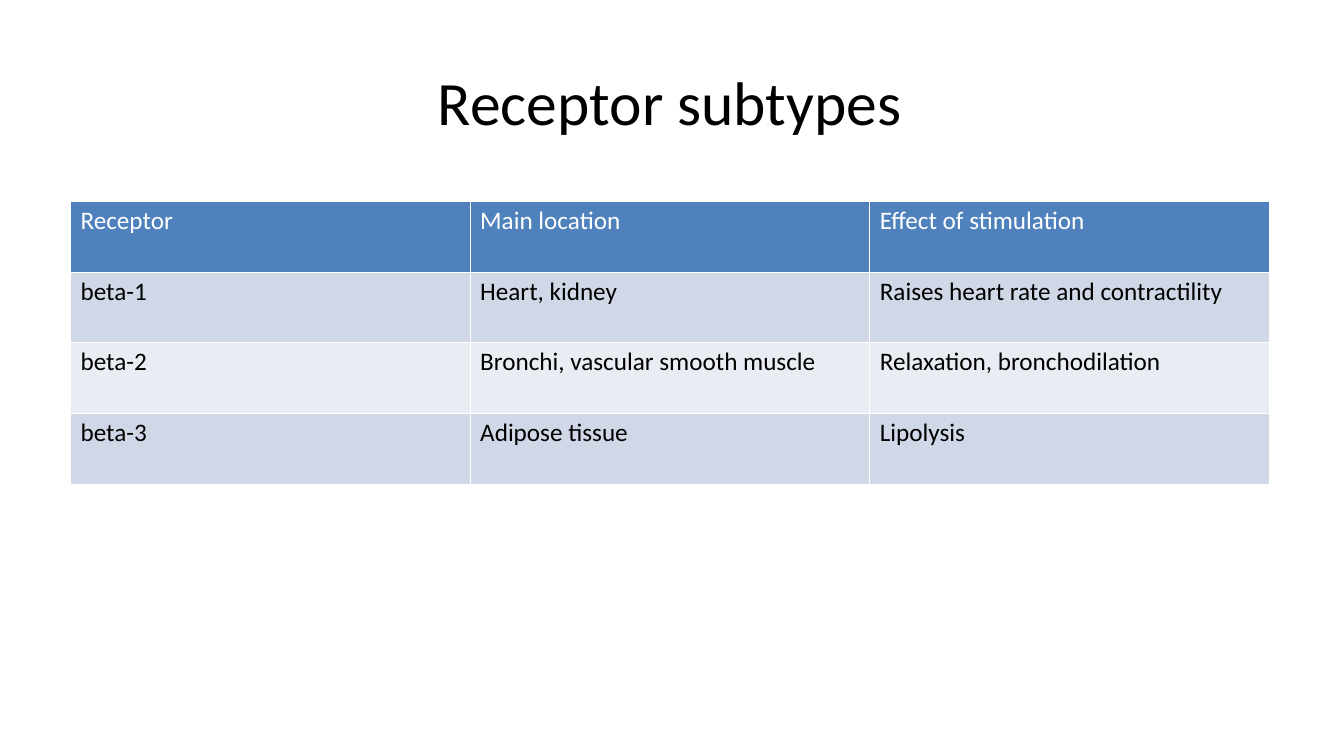
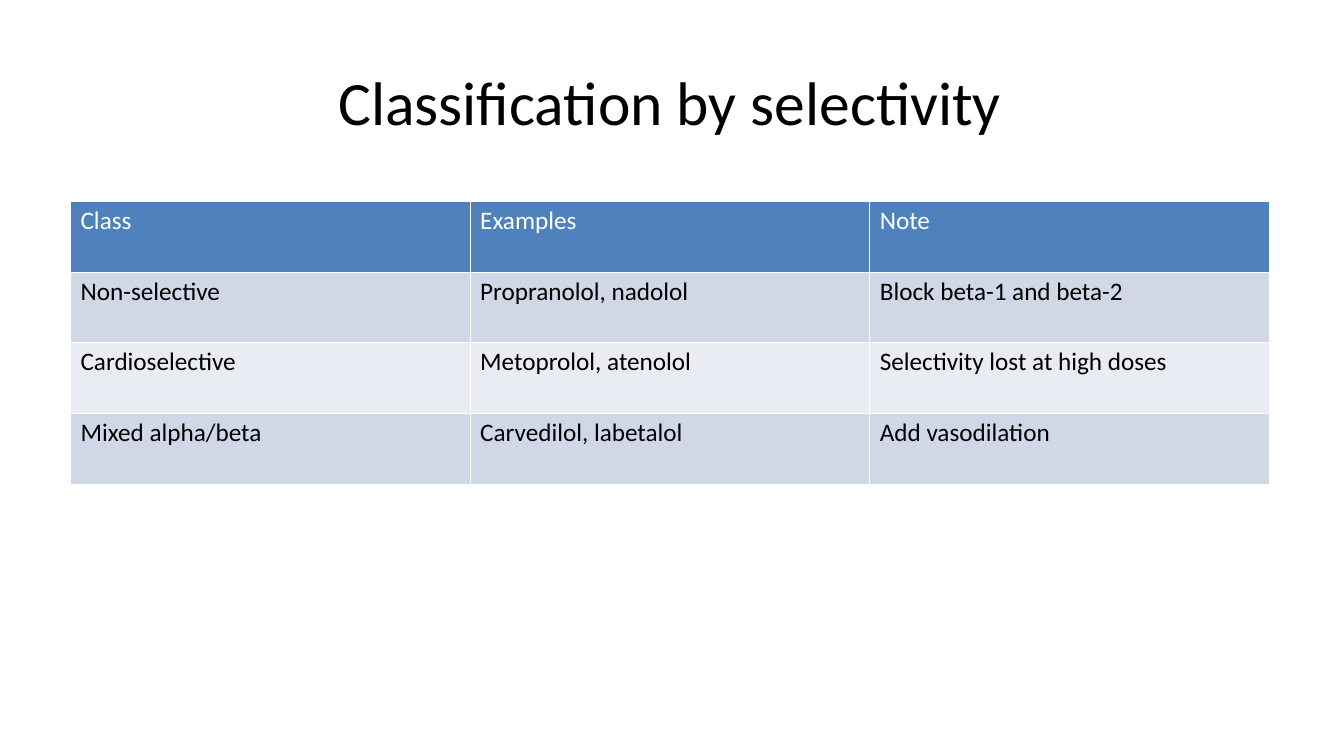
from lxml import etree
from pptx import Presentation
from pptx.dml.color import RGBColor
from pptx.enum.text import MSO_ANCHOR, PP_ALIGN
from pptx.oxml.ns import qn
from pptx.util import Inches, Pt

LEFT, CENTER = PP_ALIGN.LEFT, PP_ALIGN.CENTER
MIDDLE = MSO_ANCHOR.MIDDLE

FONT = "Calibri"
BLACK, WHITE = "000000", "FFFFFF"
HEADER_FILL = "4F81BD"
BAND_FILLS = ("E9ECF3", "D0D8E7")
BORDER_WIDTH = Pt(0.45)

SLIDE_WIDTH, SLIDE_HEIGHT = Inches(13.34), Inches(7.5)
MARGIN = Inches(0.7)
CONTENT_WIDTH = Inches(11.9)
TITLE_TOP, TITLE_HEIGHT = Inches(0.4), Inches(1.2)
TABLE_TOP, ROW_HEIGHT = Inches(2), Inches(0.7)

CONTENT = {
    "Receptor subtypes": [
        ("Receptor", "Main location", "Effect of stimulation"),
        ("beta-1", "Heart, kidney", "Raises heart rate and contractility"),
        ("beta-2", "Bronchi, vascular smooth muscle", "Relaxation, bronchodilation"),
        ("beta-3", "Adipose tissue", "Lipolysis"),
    ],
    "Classification by selectivity": [
        ("Class", "Examples", "Note"),
        ("Non-selective", "Propranolol, nadolol", "Block beta-1 and beta-2"),
        ("Cardioselective", "Metoprolol, atenolol", "Selectivity lost at high doses"),
        ("Mixed alpha/beta", "Carvedilol, labetalol", "Add vasodilation"),
    ],
}


def write(frame, text, size=18, color=BLACK, align=LEFT, spacing=1.0):
    frame.text = text
    paragraph = frame.paragraphs[0]
    paragraph.alignment = align
    paragraph.line_spacing = spacing
    font = paragraph.runs[0].font
    font.name, font.size, font.bold = FONT, Pt(size), False
    font.color.rgb = RGBColor.from_string(color)


def style_cell(cell, fill, border):
    """Draw all four borders, then the fill, in the order the schema requires."""
    properties = cell._tc.get_or_add_tcPr()
    for side in ("a:lnL", "a:lnR", "a:lnT", "a:lnB"):
        line = etree.SubElement(properties, qn(side), w=str(BORDER_WIDTH))
        line_fill = etree.SubElement(line, qn("a:solidFill"))
        etree.SubElement(line_fill, qn("a:srgbClr"), val=border)
    cell.fill.solid()
    cell.fill.fore_color.rgb = RGBColor.from_string(fill)


prs = Presentation()
prs.slide_width, prs.slide_height = SLIDE_WIDTH, SLIDE_HEIGHT
title_only = prs.slide_layouts.get_by_name("Title Only")

for heading, rows in CONTENT.items():
    slide = prs.slides.add_slide(title_only)
    title = slide.shapes.title
    title.left, title.top = MARGIN, TITLE_TOP
    title.width, title.height = CONTENT_WIDTH, TITLE_HEIGHT
    title.text_frame.vertical_anchor = MIDDLE
    write(title.text_frame, heading, size=44, align=CENTER)

    table = slide.shapes.add_table(
        len(rows), len(rows[0]), MARGIN, TABLE_TOP,
        CONTENT_WIDTH, ROW_HEIGHT * len(rows)).table
    table.first_row = table.horz_banding = False
    for row_index, row in enumerate(rows):
        is_header = row_index == 0
        fill = HEADER_FILL if is_header else BAND_FILLS[row_index % 2]
        for column_index, entry in enumerate(row):
            cell = table.cell(row_index, column_index)
            style_cell(cell, fill, border=WHITE)
            write(cell.text_frame, entry, spacing=0.94,
                  color=WHITE if is_header else BLACK)

prs.save("out.pptx")
